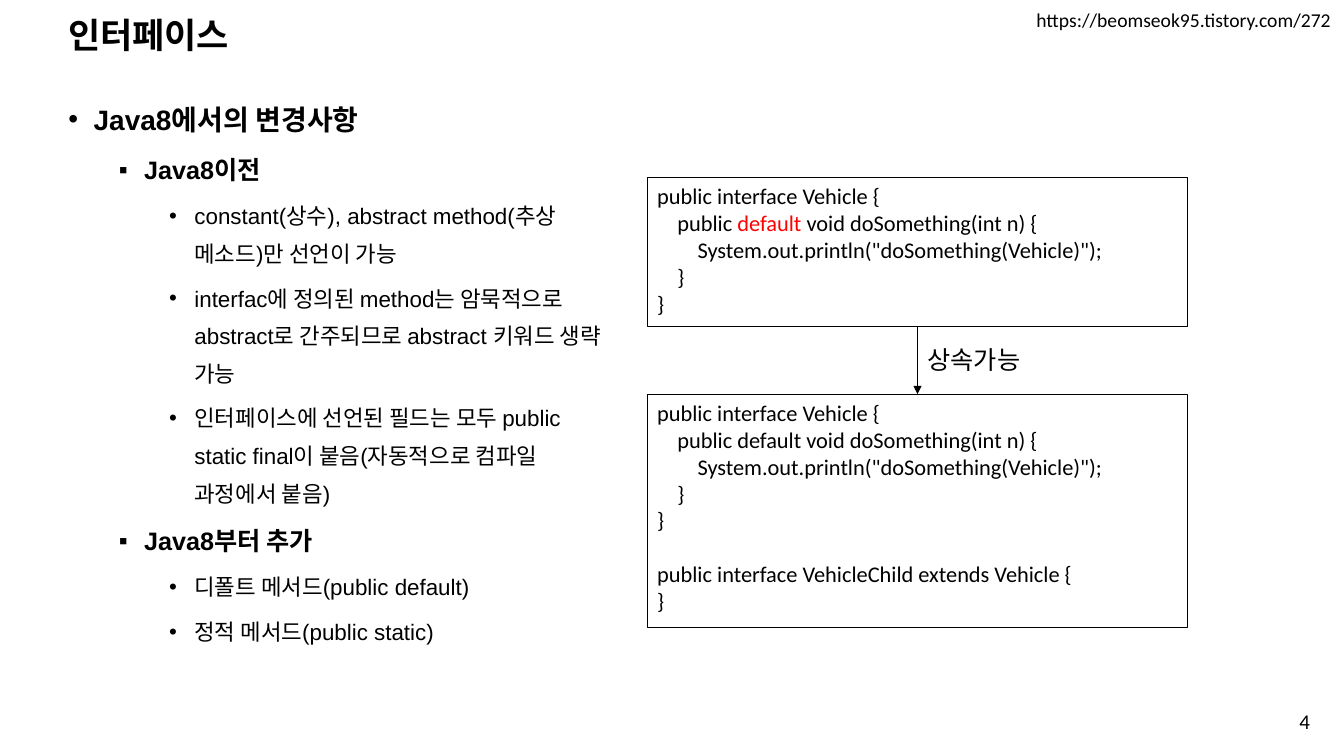
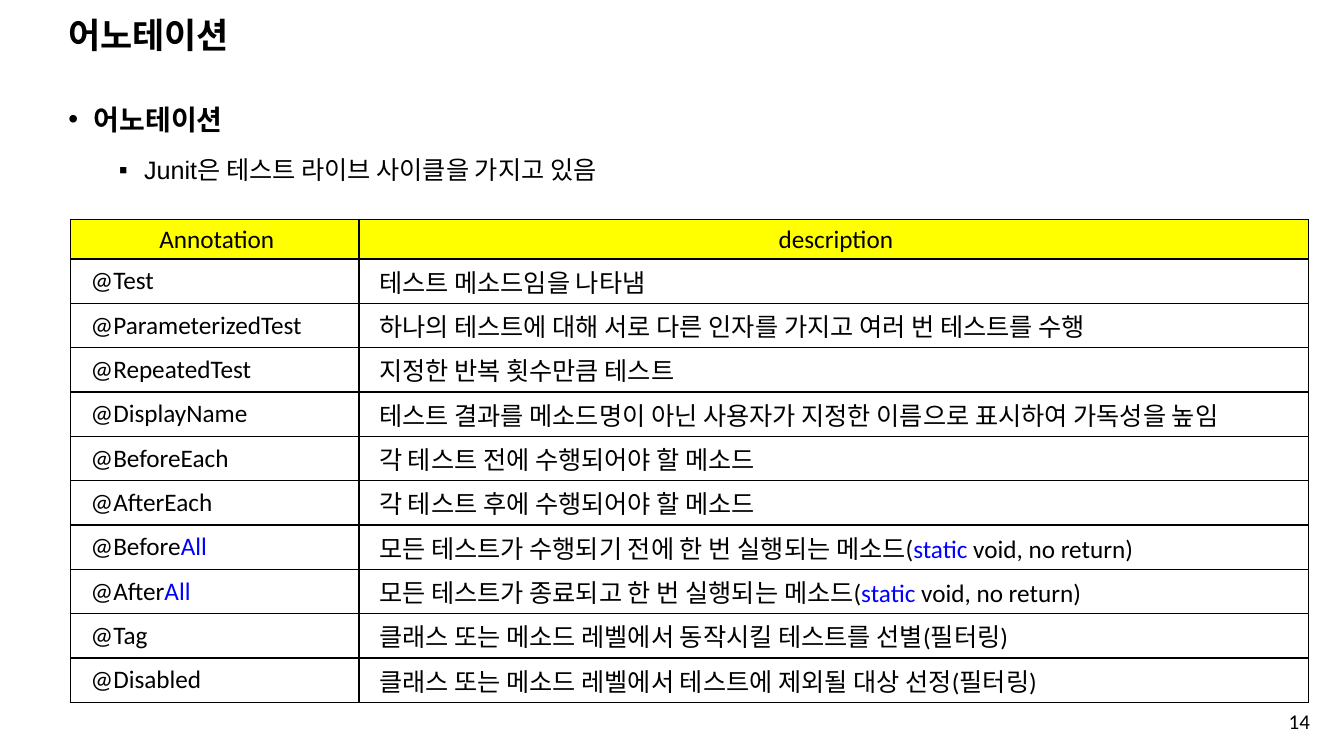
from lxml import etree
from pptx import Presentation
from pptx.dml.color import RGBColor
from pptx.enum.shapes import MSO_CONNECTOR, MSO_SHAPE
from pptx.enum.text import MSO_ANCHOR, PP_ALIGN
from pptx.oxml.ns import qn
from pptx.util import Inches, Pt

LEFT, CENTER, RIGHT = PP_ALIGN.LEFT, PP_ALIGN.CENTER, PP_ALIGN.RIGHT
TOP, MIDDLE = MSO_ANCHOR.TOP, MSO_ANCHOR.MIDDLE
RECTANGLE, STRAIGHT = MSO_SHAPE.RECTANGLE, MSO_CONNECTOR.STRAIGHT

BLACK, RED, BLUE, YELLOW = "000000", "FF0000", "0000FF", "FFFF00"
HEADING_FONT, TEXT_FONT = "Arial", "Calibri"
MARGIN = 0.58

# Per outline level: bullet, text size, space before
OUTLINE_LEVELS = [("•", 20, 10), ("▪", 18, 5), ("•", 16, 5)]

INTERFACE_OUTLINE = [
    (0, "Java8에서의 변경사항", True),
    (1, "Java8이전", True),
    (2, "constant(상수), abstract method(추상 메소드)만 선언이 가능", False),
    (2, "interfac에 정의된 method는 암묵적으로 abstract로 간주되므로 abstract 키워드 생략 가능", False),
    (2, "인터페이스에 선언된 필드는 모두 public static final이 붙음(자동적으로 컴파일 과정에서 붙음)", False),
    (1, "Java8부터 추가", True),
    (2, "디폴트 메서드(public default)", False),
    (2, "정적 메서드(public static)", False),
]

ANNOTATION_OUTLINE = [
    (0, "어노테이션", True),
    (1, "Junit은 테스트 라이브 사이클을 가지고 있음", False),
]


def vehicle_code(default_keyword):
    return [
        "public interface Vehicle {",
        ["    public ", default_keyword, " void doSomething(int n) {"],
        '        System.out.println("doSomething(Vehicle)");',
        "    }",
        "}",
    ]


CHILD_CODE = ["", "public interface VehicleChild extends Vehicle {", "}"]

ALL = ("All", BLUE)
STATIC_ONLY = [("static", BLUE), " void, no return)"]
ANNOTATIONS = [
    ("Annotation", "description"),
    ("@Test", "테스트 메소드임을 나타냄"),
    ("@ParameterizedTest", "하나의 테스트에 대해 서로 다른 인자를 가지고 여러 번 테스트를 수행"),
    ("@RepeatedTest", "지정한 반복 횟수만큼 테스트"),
    ("@DisplayName", "테스트 결과를 메소드명이 아닌 사용자가 지정한 이름으로 표시하여 가독성을 높임"),
    ("@BeforeEach", "각 테스트 전에 수행되어야 할 메소드"),
    ("@AfterEach", "각 테스트 후에 수행되어야 할 메소드"),
    (["@Before", ALL], ["모든 테스트가 수행되기 전에 한 번 실행되는 메소드(", *STATIC_ONLY]),
    (["@After", ALL], ["모든 테스트가 종료되고 한 번 실행되는 메소드(", *STATIC_ONLY]),
    ("@Tag", "클래스 또는 메소드 레벨에서 동작시킬 테스트를 선별(필터링)"),
    ("@Disabled", "클래스 또는 메소드 레벨에서 테스트에 제외될 대상 선정(필터링)"),
]


def rgb(color):
    return RGBColor.from_string(color)


def inches(*lengths):
    return [Inches(length) for length in lengths]


def write(paragraph, text, *, size, font=TEXT_FONT, color=BLACK, bold=False,
          align=LEFT, line_spacing=None):
    """Fill a paragraph; text is a string or a list of strings and (string, colour) pairs."""
    paragraph.alignment = align
    if line_spacing:
        paragraph.line_spacing = line_spacing
    for part in [text] if isinstance(text, str) else text:
        words, run_color = (part, color) if isinstance(part, str) else part
        run = paragraph.add_run()
        run.text = words
        run.font.size, run.font.name, run.font.bold = Pt(size), font, bold
        run.font.color.rgb = rgb(run_color)


def paragraphs(frame, count):
    return [frame.paragraphs[0]] + [frame.add_paragraph() for _ in range(count - 1)]


def add_text_frame(slide, box, anchor=TOP, wrap=True):
    frame = slide.shapes.add_textbox(*inches(*box)).text_frame
    frame.word_wrap, frame.vertical_anchor = wrap, anchor
    return frame


def add_label(slide, box, text, anchor=TOP, wrap=True, **style):
    write(add_text_frame(slide, box, anchor, wrap).paragraphs[0], text, **style)


def add_base_slide(prs, title, number):
    """Add a blank slide with the shared title and page number."""
    slide = prs.slides.add_slide(prs.slide_layouts[6])
    add_label(slide, (MARGIN, 0.18, 11.5, 0.38), title, MIDDLE,
              size=25, font=HEADING_FONT, bold=True, line_spacing=0.9)
    add_label(slide, (10.09, 6.95, 3, 0.4), str(number), MIDDLE, size=15, align=RIGHT)
    return slide


def add_outline(slide, width, items):
    frame = add_text_frame(slide, (MARGIN, 0.83, width, 6.6))
    for index, (paragraph, item) in enumerate(zip(paragraphs(frame, len(items)), items)):
        level, text, bold = item
        bullet, size, space_before = OUTLINE_LEVELS[level]
        properties = paragraph._p.get_or_add_pPr()
        properties.set("marL", str(Inches(0.25 + 0.5 * level)))
        properties.set("indent", str(Inches(-0.25)))
        etree.SubElement(properties, qn("a:buFont")).set("typeface", HEADING_FONT)
        etree.SubElement(properties, qn("a:buChar")).set("char", bullet)
        paragraph.level = level
        if index:
            paragraph.space_before = Pt(space_before)
        write(paragraph, text, size=size, font=HEADING_FONT, bold=bold, line_spacing=1.4)


def add_code_box(slide, box, lines):
    panel = slide.shapes.add_shape(RECTANGLE, *inches(*box))
    panel.shadow.inherit = False
    panel.fill.background()
    panel.line.color.rgb, panel.line.width = rgb(BLACK), Pt(0.75)
    frame = panel.text_frame
    frame.word_wrap, frame.vertical_anchor = True, TOP
    for paragraph, line in zip(paragraphs(frame, len(lines)), lines):
        write(paragraph, line, size=16)


def add_down_arrow(slide, x, top, bottom):
    arrow = slide.shapes.add_connector(STRAIGHT, *inches(x, top, x, bottom))
    arrow.line.color.rgb, arrow.line.width = rgb(BLACK), Pt(0.5)
    etree.SubElement(arrow.line._get_or_add_ln(), qn("a:tailEnd")).set("type", "triangle")
    etree.SubElement(arrow._element.spPr, qn("a:effectLst"))


def add_inheritance_diagram(slide, left, top, width):
    """Stack the parent code and the inheriting code, joined by an arrow."""
    parent_height, gap, child_height = 1.48, 0.67, 2.32
    parent_bottom = top + parent_height
    child_top = parent_bottom + gap
    middle = left + width / 2
    add_code_box(slide, (left, top, width, parent_height), vehicle_code(("default", RED)))
    add_code_box(slide, (left, child_top, width, child_height),
                 vehicle_code("default") + CHILD_CODE)
    add_down_arrow(slide, middle, parent_bottom, child_top)
    add_label(slide, (middle, parent_bottom + 0.13, 1.21, 0.4), "상속가능", wrap=False, size=18)


def set_borders(cell, color, width):
    properties = cell._tc.get_or_add_tcPr()
    for side in ("lnL", "lnR", "lnT", "lnB"):
        border = etree.SubElement(properties, qn(f"a:{side}"), w=str(Pt(width)))
        fill = etree.SubElement(border, qn("a:solidFill"))
        etree.SubElement(fill, qn("a:srgbClr")).set("val", color)


def add_annotation_table(slide, left, top, rows):
    widths = (2.86, 9.42)
    heights = [0.39] + [0.44] * (len(rows) - 1)
    table = slide.shapes.add_table(len(rows), len(widths), *inches(
        left, top, sum(widths), sum(heights))).table
    table.first_row = table.horz_banding = False
    for column, width in zip(table.columns, widths):
        column.width = Inches(width)
    for row_index, (row, height, texts) in enumerate(zip(table.rows, heights, rows)):
        row.height = Inches(height)
        is_header = row_index == 0
        for cell, text in zip(row.cells, texts):
            cell.vertical_anchor = MIDDLE
            cell.margin_left, cell.margin_right = inches(0.2, 0.16)
            cell.margin_top = cell.margin_bottom = Inches(0.04)
            set_borders(cell, BLACK, 1)
            if is_header:
                cell.fill.solid()
                cell.fill.fore_color.rgb = rgb(YELLOW)
            else:
                cell.fill.background()
            write(cell.text_frame.paragraphs[0], text, size=18,
                  align=CENTER if is_header else LEFT)


def build_interface_slide(prs):
    slide = add_base_slide(prs, "인터페이스", 4)
    add_outline(slide, 5.65, INTERFACE_OUTLINE)
    add_label(slide, (10.18, 0.03, 3.16, 0.34), "https://beomseok95.tistory.com/272",
              wrap=False, size=14)
    add_inheritance_diagram(slide, 6.42, 1.76, 5.36)


def build_annotation_slide(prs):
    slide = add_base_slide(prs, "어노테이션", 14)
    add_outline(slide, 12.39, ANNOTATION_OUTLINE)
    add_annotation_table(slide, 0.7, 2.18, ANNOTATIONS)


def main():
    prs = Presentation()
    prs.slide_width, prs.slide_height = inches(13.33, 7.5)
    build_interface_slide(prs)
    build_annotation_slide(prs)
    prs.save("out.pptx")


if __name__ == "__main__":
    main()
